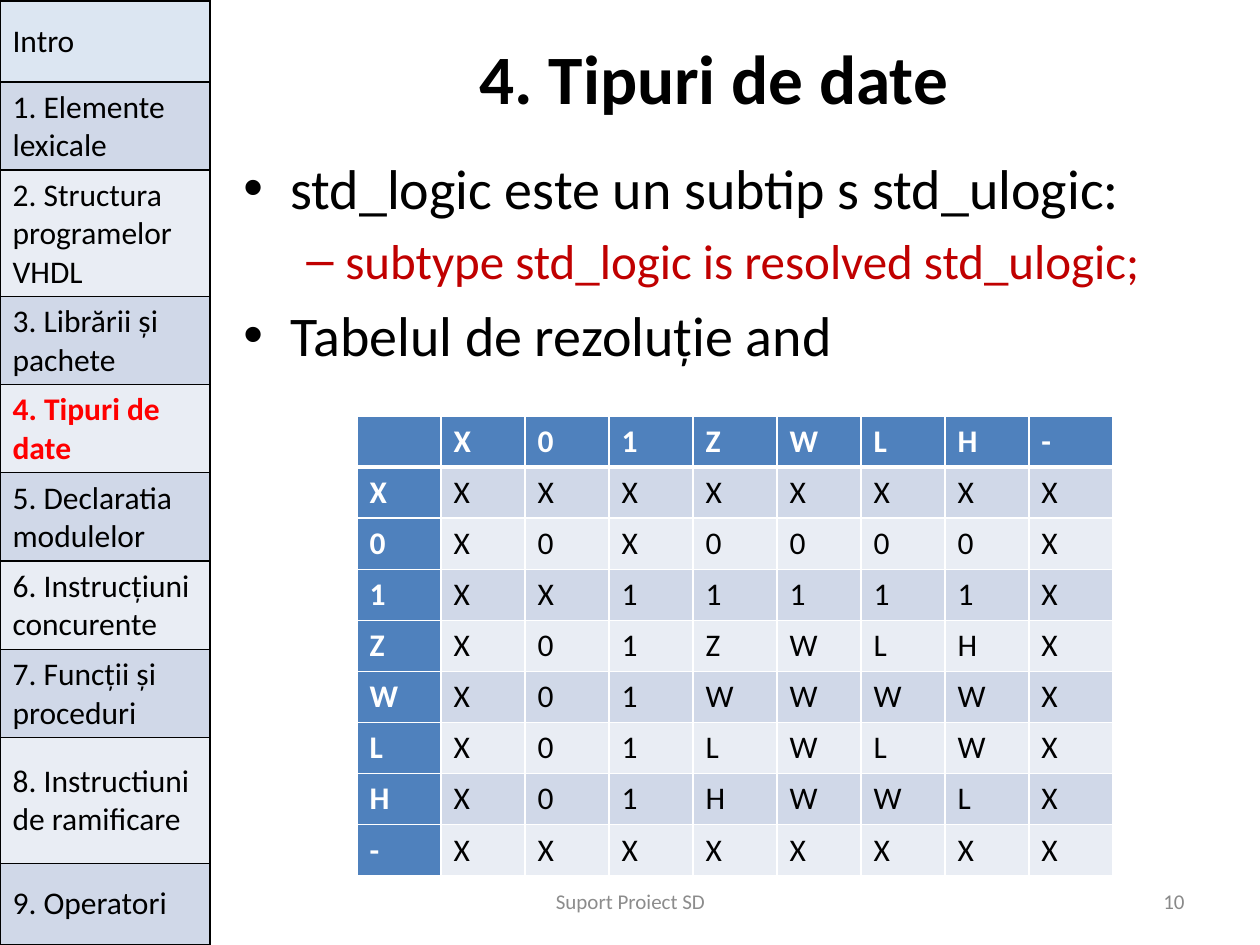
from lxml.etree import SubElement
from pptx import Presentation
from pptx.dml.color import RGBColor
from pptx.enum.text import MSO_ANCHOR, MSO_AUTO_SIZE, PP_ALIGN
from pptx.oxml.ns import qn
from pptx.util import Pt

TITLE = "4. Tipuri de date"
POINTS = [
    (0, "std_logic este un subtip s std_ulogic:"),
    (1, "subtype std_logic is resolved std_ulogic;"),
    (0, "Tabelul de rezoluție and"),
]
CHAPTERS = [
    ("Intro", 81),
    ("1. Elemente lexicale", 88),
    ("2. Structura programelor VHDL", 126),
    ("3. Librării și pachete", 88),
    (TITLE, 88),
    ("5. Declaratia modulelor", 88),
    ("6. Instrucțiuni concurente", 88),
    ("7. Funcții și proceduri", 88),
    ("8. Instructiuni de ramificare", 126),
    ("9. Operatori", 81),
]
STATES = "X01ZWLH-"
RESOLUTION = [
    "XXXXXXXX",
    "X0X0000X",
    "XX11111X",
    "X01ZWLHX",
    "X01WWWWX",
    "X01LWLWX",
    "X01HWWLX",
    "XXXXXXXX",
]
FOOTERS = [
    ("Suport Proiect SD", (431, 876, 399, 50), PP_ALIGN.CENTER, "footer"),
    ("10", (903, 876, 294, 50), PP_ALIGN.RIGHT, "number"),
]
LEVELS = [
    {"bullet": "•", "margin": 47, "hang": 47, "size": 32, "color": "black"},
    {"bullet": "–", "margin": 102, "hang": 39, "size": 28, "color": "code"},
]
THEME = {
    "font": "Calibri",
    "title": 39.6, "table": 18, "small": 12,
    "black": "000000", "white": "FFFFFF", "code": "C00000", "current": "FF0000",
    "footer": "8C8C8C", "number": "898989",
    "head": "4F81BD", "intro": "DCE6F2", "bands": ("E9EDF4", "D0D8E8"),
}
EMU_PER_PIXEL = 914400 // 126


def px(value):
    return round(value * 914400 / 126)


def box(left, top, width, height):
    return px(left), px(top), px(width), px(height)


def write(paragraph, text, size, color, bold=False):
    run = paragraph.add_run()
    run.text = text
    run.font.name = THEME["font"]
    run.font.size = Pt(size)
    run.font.bold = bold
    run.font.color.rgb = RGBColor.from_string(THEME[color])


def set_bullet(paragraph, level):
    properties = paragraph._p.get_or_add_pPr()
    properties.set("marL", str(px(level["margin"])))
    properties.set("indent", str(-px(level["hang"])))
    before = SubElement(properties, qn("a:spcBef"))
    SubElement(before, qn("a:spcPct"), val="20000")
    SubElement(properties, qn("a:buFont"), typeface="Arial")
    SubElement(properties, qn("a:buChar"), char=level["bullet"])


def format_cell(cell, fill, line, top=1, bottom=1):
    properties = cell._tc.get_or_add_tcPr()
    for side, width in (("L", 1), ("R", 1), ("T", top), ("B", bottom)):
        border = SubElement(properties, qn(f"a:ln{side}"), w=str(Pt(width)))
        solid = SubElement(border, qn("a:solidFill"))
        SubElement(solid, qn("a:srgbClr"), val=THEME[line])
    cell.fill.solid()
    cell.fill.fore_color.rgb = RGBColor.from_string(fill)


presentation = Presentation()
presentation.slide_width, presentation.slide_height = px(1260), px(945)
slide = presentation.slides.add_slide(presentation.slide_layouts[5])

title = slide.shapes.title
title.left, title.top, title.width, title.height = box(231, 38, 966, 78)
title.text_frame.auto_size = MSO_AUTO_SIZE.NONE
title.text_frame.vertical_anchor = MSO_ANCHOR.MIDDLE
title.text_frame.paragraphs[0].alignment = PP_ALIGN.CENTER
write(title.text_frame.paragraphs[0], TITLE, THEME["title"], "black", True)

body = slide.shapes.add_textbox(*box(231, 147, 1008, 725)).text_frame
body.word_wrap = True
for index, (depth, text) in enumerate(POINTS):
    paragraph = body.add_paragraph() if index else body.paragraphs[0]
    level = LEVELS[depth]
    paragraph.level = depth
    set_bullet(paragraph, level)
    write(paragraph, text, level["size"], level["color"])

for text, place, alignment, color in FOOTERS:
    footer = slide.shapes.add_textbox(*box(*place)).text_frame
    footer.word_wrap = True
    footer.vertical_anchor = MSO_ANCHOR.MIDDLE
    footer.paragraphs[0].alignment = alignment
    write(footer.paragraphs[0], text, THEME["small"], color)

grid = [" " + STATES] + [state + row for state, row in zip(STATES, RESOLUTION)]
truth = slide.shapes.add_table(len(grid), len(grid[0]), *box(357, 416, 756, 460)).table
truth.first_col = True
for r, values in enumerate(grid):
    for c, value in enumerate(values):
        cell = truth.cell(r, c)
        heading = r == 0 or c == 0
        fill = THEME["head"] if heading else THEME["bands"][r % 2]
        format_cell(cell, fill, "white", 3 if r == 1 else 1, 3 if r == 0 else 1)
        if value.strip():
            write(cell.text_frame.paragraphs[0], value, THEME["table"],
                  "white" if heading else "black", heading)

nav_height = sum(height for _, height in CHAPTERS)
navigation = slide.shapes.add_table(len(CHAPTERS), 1, *box(0, 1, 210, nav_height)).table
navigation.first_row = False
for r, (chapter, height) in enumerate(CHAPTERS):
    navigation.rows[r].height = px(height)
    cell = navigation.cell(r, 0)
    cell.vertical_anchor = MSO_ANCHOR.MIDDLE
    format_cell(cell, THEME["bands"][r % 2] if r else THEME["intro"], "black")
    current = chapter == TITLE
    write(cell.text_frame.paragraphs[0], chapter, THEME["table"],
          "current" if current else "black", current)

presentation.save("out.pptx")
